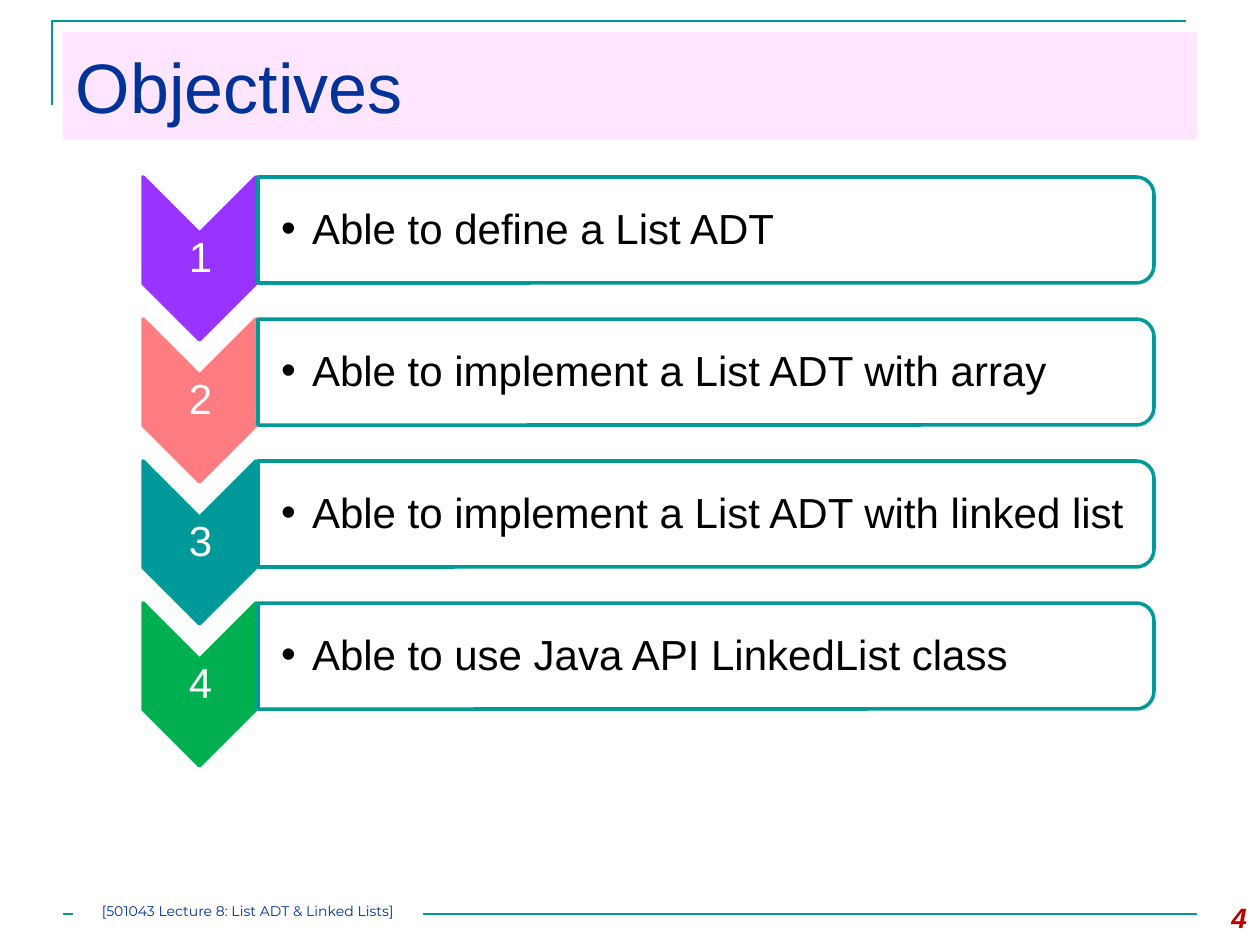
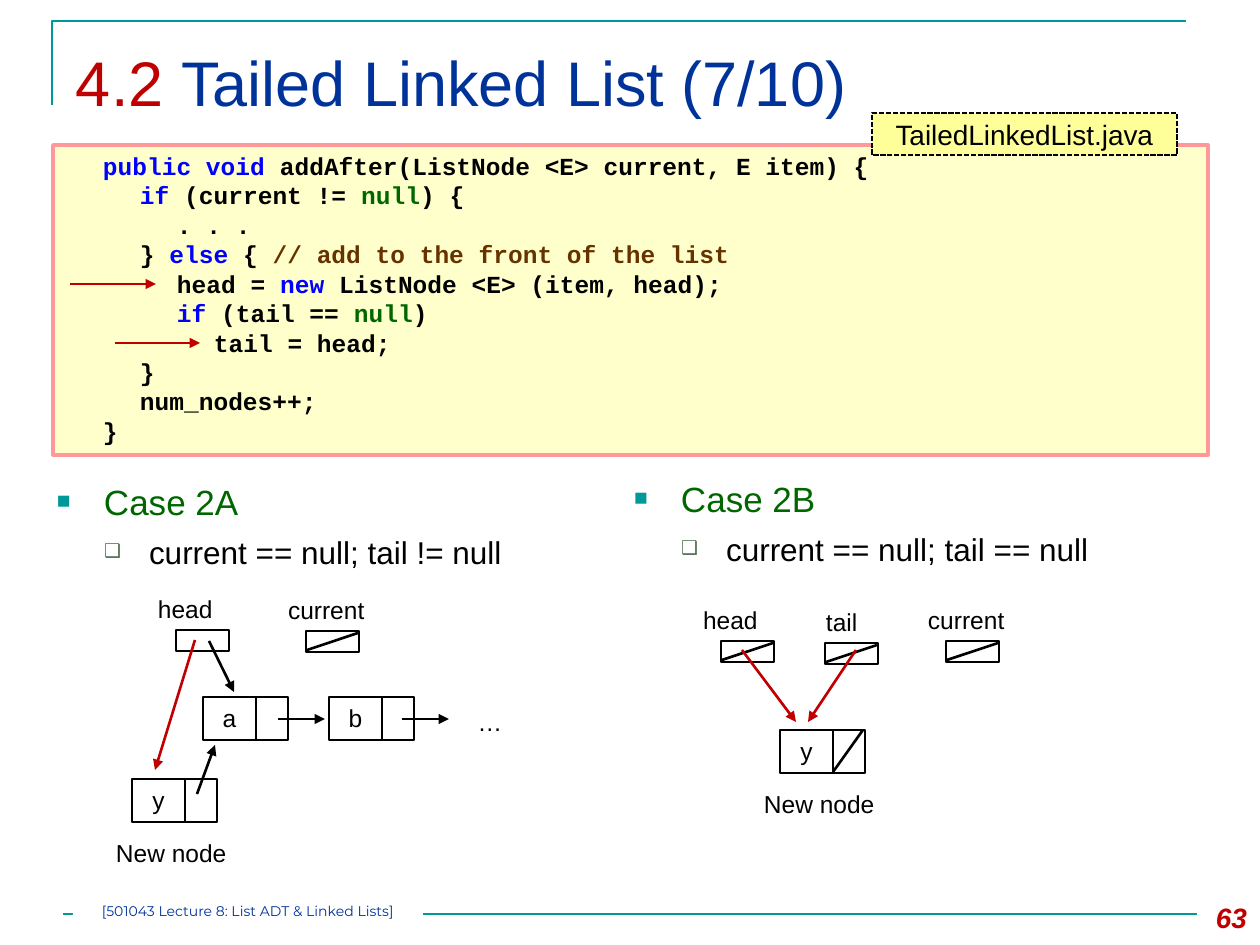
import dataclasses
import typing

import lxml.etree
import pptx
import pptx.dml.color
import pptx.enum.dml
import pptx.enum.shapes
import pptx.enum.text
import pptx.oxml.ns
import pptx.util

EMU_PER_PX = 914400 / 126
SHAPE = pptx.enum.shapes.MSO_SHAPE
ALIGN = pptx.enum.text.PP_ALIGN
ANCHOR = pptx.enum.text.MSO_ANCHOR

TEAL, NAVY, RED, BLACK, WHITE = "009999", "003399", "C00000", "000000", "FFFFFF"
GREEN, BLUE, BROWN = "006600", "0000FF", "663300"
FOOTER = "[501043 Lecture 8: List ADT & Linked Lists]"
INSET = (13, 6, 13, 6)


class Run(typing.NamedTuple):
    text: str
    color: str = BLACK


class Bullet(typing.NamedTuple):
    char: str
    color: str
    percent: int
    margin: int
    hang: int


@dataclasses.dataclass
class Objective:
    text: str
    color: str


@dataclasses.dataclass
class CodeLine:
    depth: int
    runs: list[Run]


@dataclasses.dataclass
class Variable:
    """A named reference; a null one is struck through."""
    name: str
    x: int
    y: int
    label_dx: int = -31
    null: bool = True


@dataclasses.dataclass
class Node:
    value: str
    x: int
    y: int
    null: bool = False
    new: bool = False


class Arrow(typing.NamedTuple):
    start: tuple[int, int]
    end: tuple[int, int]
    color: str = BLACK


DOT = Bullet("•", BLACK, 100, 31, 31)
SQUARE = Bullet("■", TEAL, 65, 47, 47)
BOX = Bullet("❑", "4C6D4E", 60, 92, 45)

OBJECTIVES = [
    Objective("Able to define a List ADT", "9933FF"),
    Objective("Able to implement a List ADT with array", "FF7C80"),
    Objective("Able to implement a List ADT with linked list", TEAL),
    Objective("Able to use Java API LinkedList class", "00B050"),
]
CODE = [
    CodeLine(1, [Run("public void ", BLUE), Run("addAfter(ListNode <E> current, E item) {")]),
    CodeLine(2, [Run("if ", BLUE), Run("(current != "), Run("null", GREEN), Run(") {")]),
    CodeLine(3, [Run(". . .")]),
    CodeLine(2, [Run("} "), Run("else", BLUE), Run(" { "),
                 Run("// add to the front of the list", BROWN)]),
    CodeLine(3, [Run("head = "), Run("new", BLUE), Run(" ListNode <E> (item, head);")]),
    CodeLine(3, [Run("if", BLUE), Run(" (tail == "), Run("null", GREEN), Run(")")]),
    CodeLine(4, [Run("tail = head;")]),
    CodeLine(2, [Run("}")]),
    CodeLine(2, [Run("num_nodes++;")]),
    CodeLine(1, [Run("}")]),
]
VARIABLES = [
    Variable("head", 176, 630, null=False),
    Variable("current", 306, 631),
    Variable("head", 721, 641),
    Variable("tail", 825, 643, label_dx=-12),
    Variable("current", 946, 641),
]
NODES = [
    Node("a", 203, 697),
    Node("b", 329, 697),
    Node("y", 132, 779, new=True),
    Node("y", 780, 730, null=True, new=True),
]
ARROWS = [
    Arrow((70, 284), (156, 284), RED),
    Arrow((115, 343), (200, 343), RED),
    Arrow((278, 719), (325, 719)),
    Arrow((402, 719), (449, 719)),
    Arrow((197, 794), (215, 745)),
    Arrow((209, 641), (234, 692)),
    Arrow((195, 640), (155, 770), RED),
    Arrow((742, 650), (796, 722), RED),
    Arrow((856, 650), (808, 722), RED),
]


def px(n: float) -> int:
    return round(n * EMU_PER_PX)


def add_xml(parent, tag: str, **attrs: str):
    el = lxml.etree.SubElement(parent, pptx.oxml.ns.qn(tag))
    for name, value in attrs.items():
        el.set(name, value)
    return el


def paint(fill, color: str, opacity: int = 100) -> None:
    fill.solid()
    fill.fore_color.rgb = pptx.dml.color.RGBColor.from_string(color)
    if opacity < 100:
        clr = fill._xPr.find(".//" + pptx.oxml.ns.qn("a:srgbClr"))
        add_xml(clr, "a:alpha", val=str(opacity * 1000))


def stroke(line, color: str, width: float = 1.5) -> None:
    paint(line.fill, color)
    line.width = pptx.util.Pt(width)


def place(sp, x: int, y: int, w: int, h: int) -> None:
    sp.left, sp.top, sp.width, sp.height = px(x), px(y), px(w), px(h)


def set_frame(sp, anchor=ANCHOR.TOP, inset=INSET):
    tf = sp.text_frame
    tf.word_wrap = True
    tf.auto_size = pptx.enum.text.MSO_AUTO_SIZE.NONE
    tf.vertical_anchor = anchor
    tf.margin_left, tf.margin_top, tf.margin_right, tf.margin_bottom = map(px, inset)
    return tf


def write(p, runs: list[Run], size: int, font: str = "Arial", align=ALIGN.LEFT,
          bold: bool = False, italic: bool = False) -> None:
    p.alignment = align
    for run in runs:
        r = p.add_run()
        r.text = run.text
        r.font.name, r.font.size = font, pptx.util.Pt(size)
        r.font.bold, r.font.italic = bold, italic
        paint(r.font.fill, run.color)


def add_bullet(p, bullet: Bullet) -> None:
    pPr = p._p.get_or_add_pPr()
    pPr.set("marL", str(px(bullet.margin)))
    pPr.set("indent", str(-px(bullet.hang)))
    add_xml(add_xml(pPr, "a:buClr"), "a:srgbClr", val=bullet.color)
    add_xml(pPr, "a:buSzPct", val=str(bullet.percent * 1000))
    add_xml(pPr, "a:buFont", typeface="Arial")
    add_xml(pPr, "a:buChar", char=bullet.char)


def add_block(slide, kind, x: int, y: int, w: int, h: int, fill: str | None = None,
              line: str | None = None, width: float = 1.5, opacity: int = 100):
    sp = slide.shapes.add_shape(kind, px(x), px(y), px(w), px(h))
    sp.shadow.inherit = False
    if fill:
        paint(sp.fill, fill, opacity)
    else:
        sp.fill.background()
    if line:
        stroke(sp.line, line, width)
    else:
        sp.line.fill.background()
    return sp


def add_text(slide, x: int, y: int, w: int, h: int, text: str, size: int = 14,
             color: str = BLACK, anchor=ANCHOR.TOP, inset=INSET, **style):
    sp = slide.shapes.add_textbox(px(x), px(y), px(w), px(h))
    p = set_frame(sp, anchor, inset).paragraphs[0]
    write(p, [Run(text, color)], size, **style)
    return p


def add_line(slide, start: tuple[int, int], end: tuple[int, int],
             color: str = BLACK, arrow: bool = False) -> None:
    straight = pptx.enum.shapes.MSO_CONNECTOR.STRAIGHT
    cn = slide.shapes.add_connector(straight, *map(px, (*start, *end)))
    stroke(cn.line, color)
    if arrow:
        add_xml(cn.line._get_or_add_ln(), "a:tailEnd", type="triangle")
    add_xml(cn._element.spPr, "a:effectLst")


def start_slide(prs, layout: int, title: list[Run], size: int, number: int,
                bottom_inset: int = 6):
    """Add a slide with the frame, title, footer and number that all share."""
    slide = prs.slides.add_slide(prs.slide_layouts[layout])
    corner = slide.shapes.build_freeform(52, 105, scale=EMU_PER_PX)
    corner.add_line_segments([(52, 21), (1186, 21)], close=False)
    sp = corner.convert_to_shape()
    sp.shadow.inherit = False
    sp.fill.background()
    stroke(sp.line, TEAL)
    add_line(slide, (63, 914), (1197, 914), TEAL)

    place(slide.shapes.title, 63, 32, 1134, 108)
    tf = set_frame(slide.shapes.title, ANCHOR.MIDDLE, (13, 6, 13, bottom_inset))
    write(tf.paragraphs[0], title, size)

    add_text(slide, 1176, 895, 84, 50, str(number), 16, RED,
             align=ALIGN.RIGHT, bold=True, italic=True)
    sp = add_block(slide, SHAPE.RECTANGLE, 73, 903, 350, 25, WHITE)
    tf = set_frame(sp, inset=(0, 0, 0, 0))
    write(tf.paragraphs[0], [Run(FOOTER, NAVY)], 8, "Montserrat", ALIGN.CENTER)
    return slide


def draw_objective(slide, index: int, item: Objective) -> None:
    dy = index * 142
    sp = add_block(slide, SHAPE.CHEVRON, 118, 202 + dy, 163, 113, item.color, item.color, 2)
    sp.rotation = 90
    p = add_text(slide, 144, 234 + dy, 113, 49, str(index + 1), 24, WHITE,
                 ANCHOR.MIDDLE, (2, 2, 2, 2), align=ALIGN.CENTER)
    p.line_spacing = 0.9
    sp = add_block(slide, SHAPE.ROUND_2_SAME_RECTANGLE, 653, dy - 218, 106, 896,
                   WHITE, TEAL, 2, opacity=90)
    sp.rotation = 90
    p = add_text(slide, 257, 183 + dy, 891, 96, item.text, 24,
                 anchor=ANCHOR.MIDDLE, inset=(24, 2, 2, 2))
    add_bullet(p, DOT)
    p.line_spacing = 0.9


def draw_code(slide) -> None:
    sp = add_block(slide, SHAPE.RECTANGLE, 53, 145, 1155, 310, "FFFFCC", "FF9999", 2)
    tf = set_frame(sp)
    for i, line in enumerate(CODE):
        p = tf.add_paragraph() if i else tf.paragraphs[0]
        p._p.get_or_add_pPr().set("marL", str(px(line.depth * 37)))
        p.line_spacing = pptx.util.Pt(16.8)
        write(p, line.runs, 14, "Courier New", bold=True)
    sp = add_block(slide, SHAPE.RECTANGLE, 872, 113, 305, 42, "FFFF99", BLACK, 1)
    sp.line.dash_style = pptx.enum.dml.MSO_LINE.SQUARE_DOT
    tf = set_frame(sp, ANCHOR.MIDDLE)
    write(tf.paragraphs[0], [Run("TailedLinkedList.java")], 16, align=ALIGN.CENTER)


def fill_case(sp, x: int, y: int, name: str, condition: str) -> None:
    place(sp, x, y, 554, 130)
    tf = set_frame(sp)
    p = tf.paragraphs[0]
    add_bullet(p, SQUARE)
    p.space_before = pptx.util.Pt(0)
    write(p, [Run(name, GREEN)], 20)
    p = tf.add_paragraph()
    p.level = 1
    add_bullet(p, BOX)
    p.space_before = pptx.util.Pt(6)
    write(p, [Run(condition)], 18)


def draw_variable(slide, v: Variable) -> None:
    add_text(slide, v.x + v.label_dx, v.y - 42, 108, 43, v.name)
    add_block(slide, SHAPE.RECTANGLE, v.x, v.y, 53, 21, WHITE, BLACK)
    if v.null:
        add_line(slide, (v.x + 1, v.y + 19), (v.x + 52, v.y + 2))


def draw_node(slide, n: Node) -> None:
    sp = add_block(slide, SHAPE.RECTANGLE, n.x, n.y, 53, 43, line=BLACK)
    write(set_frame(sp).paragraphs[0], [Run(n.value)], 14, align=ALIGN.CENTER)
    add_block(slide, SHAPE.RECTANGLE, n.x + 53, n.y, 32, 43, line=BLACK)
    if n.null:
        add_line(slide, (n.x + 53, n.y + 42), (n.x + 83, n.y))
    if n.new:
        add_text(slide, n.x - 29, n.y + 53, 140, 43, "New node")


def main() -> None:
    prs = pptx.Presentation()
    prs.slide_width, prs.slide_height = px(1260), px(945)

    slide = start_slide(prs, 5, [Run("Objectives", NAVY)], 40, 4)
    paint(slide.shapes.title.fill, "FF99FF", 25)
    for i, item in enumerate(OBJECTIVES):
        draw_objective(slide, i, item)

    title = [Run("4.2 ", RED), Run("Tailed Linked List (7/10)", NAVY)]
    slide = start_slide(prs, 3, title, 36, 63, bottom_inset=16)
    draw_code(slide)
    fill_case(slide.placeholders[1], 44, 474, "Case 2A", "current == null; tail != null")
    fill_case(slide.placeholders[2], 621, 471, "Case 2B", "current == null; tail == null")
    for v in VARIABLES:
        draw_variable(slide, v)
    for n in NODES:
        draw_node(slide, n)
    add_text(slide, 460, 701, 60, 43, "…", align=ALIGN.CENTER)
    for a in ARROWS:
        add_line(slide, a.start, a.end, a.color, arrow=True)

    prs.save("out.pptx")


if __name__ == "__main__":
    main()
